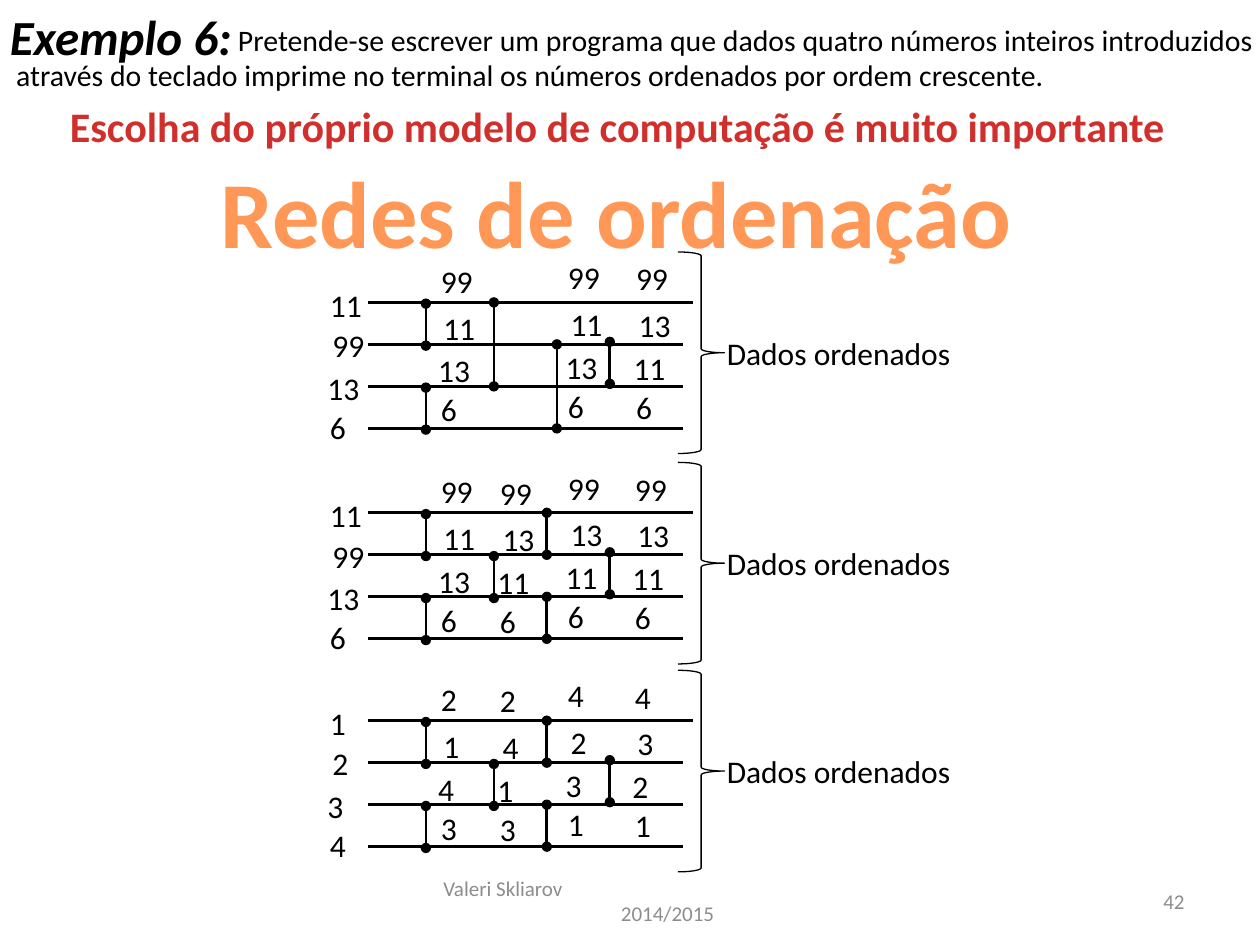
from lxml import etree
from pptx import Presentation
from pptx.dml.color import RGBColor
from pptx.enum.shapes import MSO_CONNECTOR, MSO_SHAPE
from pptx.enum.text import MSO_ANCHOR, MSO_AUTO_SIZE, PP_ALIGN
from pptx.oxml.ns import qn
from pptx.util import Inches, Pt

STRAIGHT = MSO_CONNECTOR.STRAIGHT
RIGHT_BRACE = MSO_SHAPE.RIGHT_BRACE
TOP, MIDDLE = MSO_ANCHOR.TOP, MSO_ANCHOR.MIDDLE
LEFT, CENTER, RIGHT = PP_ALIGN.LEFT, PP_ALIGN.CENTER, PP_ALIGN.RIGHT
FIT_SHAPE, NO_FIT = MSO_AUTO_SIZE.SHAPE_TO_FIT_TEXT, MSO_AUTO_SIZE.NONE

BLACK = RGBColor(0x00, 0x00, 0x00)
GRAY = RGBColor(0x8C, 0x8C, 0x8C)
RED = RGBColor(0xD0, 0x2F, 0x2C)
ORANGE = RGBColor(0xFF, 0x98, 0x56)
FONT = "Calibri"

# Geometry shared by the networks; vertical values count from the network top
WIRE_LEFT = 2.92
WIRE_ENDS = [5.5, 5.42, 5.42, 5.42]
WIRE_TOP, WIRE_GAP = 0.4, 1 / 3
INPUT_X, INPUT_ROWS = 2.52, [0.22, 0.54, 0.88, 1.19]
VALUE_ROWS = [0, 0.37, 0.71, 1.02]
ROW_SHIFTS = [0, 0.02, -0.02, 0]

# Comparators: x, upper wire, lower wire, vertical shift
FIRST_STAGE = [(3.38, 0, 1, 0.01), (3.38, 2, 3, 0.01)]
LAST_STAGE = [(4.84, 1, 2, -0.02)]
SHORT_NETWORK = FIRST_STAGE + [(3.92, 0, 2, 0), (4.42, 1, 3, 0)] + LAST_STAGE
BUBBLE_NETWORK = (FIRST_STAGE + [(3.92, 1, 2, 0.01), (4.34, 0, 1, 0), (4.34, 2, 3, 0)]
                  + LAST_STAGE)

# Networks: top, comparators, inputs, value columns as (x, vertical shift, values)
NETWORKS = [
    (2.0, SHORT_NETWORK, [11, 99, 13, 6], [
        (3.4, 0.03, [99, 11, 13, 6]),
        (4.41, 0, [99, 11, 13, 6]),
        (4.95, 0.01, [99, 13, 11, 6])]),
    (3.67, BUBBLE_NETWORK, [11, 99, 13, 6], [
        (3.4, 0.03, [99, 11, 13, 6]),
        (3.87, 0.04, [99, 13, 11, 6]),
        (4.41, 0, [99, 13, 11, 6]),
        (4.94, 0.01, [99, 13, 11, 6])]),
    (5.32, BUBBLE_NETWORK, [1, 2, 3, 4], [
        (3.4, 0.03, [2, 1, 4, 3]),
        (3.87, 0.04, [2, 4, 1, 3]),
        (4.41, 0, [4, 2, 3, 1]),
        (4.94, 0.01, [4, 3, 2, 1])]),
]


class SlideBuilder:
    def __init__(self, slide):
        self.slide = slide

    def format_text(self, paragraph, size, color, bold=False, italic=False, align=LEFT):
        paragraph.alignment = align
        font = paragraph.font
        font.name, font.size = FONT, Pt(size)
        font.bold, font.italic = bold, italic
        font.color.rgb = color

    def title(self, text, left, top, width, height, size, color):
        shape = self.slide.shapes.title
        shape.left, shape.top = Inches(left), Inches(top)
        shape.width, shape.height = Inches(width), Inches(height)
        frame = shape.text_frame
        frame.text = text
        frame.word_wrap, frame.auto_size = False, NO_FIT
        frame.vertical_anchor = TOP
        self.format_text(frame.paragraphs[0], size, color, bold=True, align=CENTER)

    def text(self, text, left, top, width, height=0.4, size=18, color=BLACK,
             wrap=False, anchor=TOP, indents=(), **style):
        """Add one paragraph per line; indents are (left margin, first line) pairs."""
        shape = self.slide.shapes.add_textbox(
            Inches(left), Inches(top), Inches(width), Inches(height))
        frame = shape.text_frame
        frame.text = text
        frame.word_wrap, frame.vertical_anchor = wrap, anchor
        frame.auto_size = FIT_SHAPE if anchor == TOP else NO_FIT
        for paragraph in frame.paragraphs:
            self.format_text(paragraph, size, color, **style)
        for paragraph, (margin, first_line) in zip(frame.paragraphs, indents):
            properties = paragraph._p.get_or_add_pPr()
            properties.set("marL", str(Inches(margin)))
            properties.set("indent", str(Inches(first_line)))

    def line(self, x1, y1, x2, y2, dots=False):
        connector = self.slide.shapes.add_connector(
            STRAIGHT, Inches(x1), Inches(y1), Inches(x2), Inches(y2))
        connector.line.color.rgb = BLACK
        connector.line.width = Pt(1.5)
        if dots:
            outline = connector.line._get_or_add_ln()
            for end in ("a:headEnd", "a:tailEnd"):
                etree.SubElement(outline, qn(end), type="oval")
        etree.SubElement(connector._element.spPr, qn("a:effectLst"))

    def brace(self, left, top, width, height):
        shape = self.slide.shapes.add_shape(
            RIGHT_BRACE, Inches(left), Inches(top), Inches(width), Inches(height))
        shape.shadow.inherit = False
        shape.fill.background()
        shape.line.color.rgb = BLACK
        shape.line.width = Pt(0.75)

    def numbers(self, values, left, top, rows):
        for value, row, shift in zip(values, rows, ROW_SHIFTS):
            self.text(str(value), left + shift, top + row, 0.46 if value > 9 else 0.33)

    def network(self, top, comparators, inputs, columns):
        wires = [top + WIRE_TOP + index * WIRE_GAP for index in range(len(inputs))]
        for y, end in zip(wires, WIRE_ENDS):
            self.line(WIRE_LEFT, y, end, y)
        for x, upper, lower, shift in comparators:
            self.line(x, wires[upper] + shift, x, wires[lower] + shift, dots=True)
        self.numbers(inputs, INPUT_X, top, INPUT_ROWS)
        for x, shift, values in columns:
            self.numbers(values, x, top + shift, VALUE_ROWS)
        self.brace(5.38, top, 0.37, 1.6)
        self.text("Dados ordenados", 5.67, top + 0.6, 2)


def main():
    presentation = Presentation()
    presentation.slide_width, presentation.slide_height = Inches(10), Inches(7.5)
    slide = presentation.slides.add_slide(presentation.slide_layouts[5])
    builder = SlideBuilder(slide)

    # Footer
    builder.text("Valeri Skliarov\n2014/2015", 3.42, 6.95, 3.17, size=12, color=GRAY,
                 wrap=True, anchor=MIDDLE, indents=[(0, 0), (1.41, 0)])
    builder.text("42", 7.17, 6.95, 2.33, size=12, color=GRAY,
                 wrap=True, anchor=MIDDLE, align=RIGHT)

    # Problem statement and headings
    builder.text("Exemplo 6:", -0.02, 0, 1.98, 0.57, size=28, bold=True, italic=True)
    builder.text("Pretende-se escrever um programa que dados quatro números inteiros "
                 "introduzidos através do teclado imprime no terminal os números "
                 "ordenados por ordem crescente.",
                 0.03, 0.12, 10.05, 0.67, size=17, wrap=True, indents=[(0, 1.76)])
    builder.text("Escolha do próprio modelo de computação é muito importante",
                 0.42, 0.75, 8.96, 0.5, size=24, color=RED, bold=True, align=CENTER)
    builder.title("Redes de ordenação", 1.62, 1.17, 6.54, 1.01, 54, ORANGE)

    # Sorting networks
    for network in NETWORKS:
        builder.network(*network)

    presentation.save("out.pptx")


if __name__ == "__main__":
    main()
